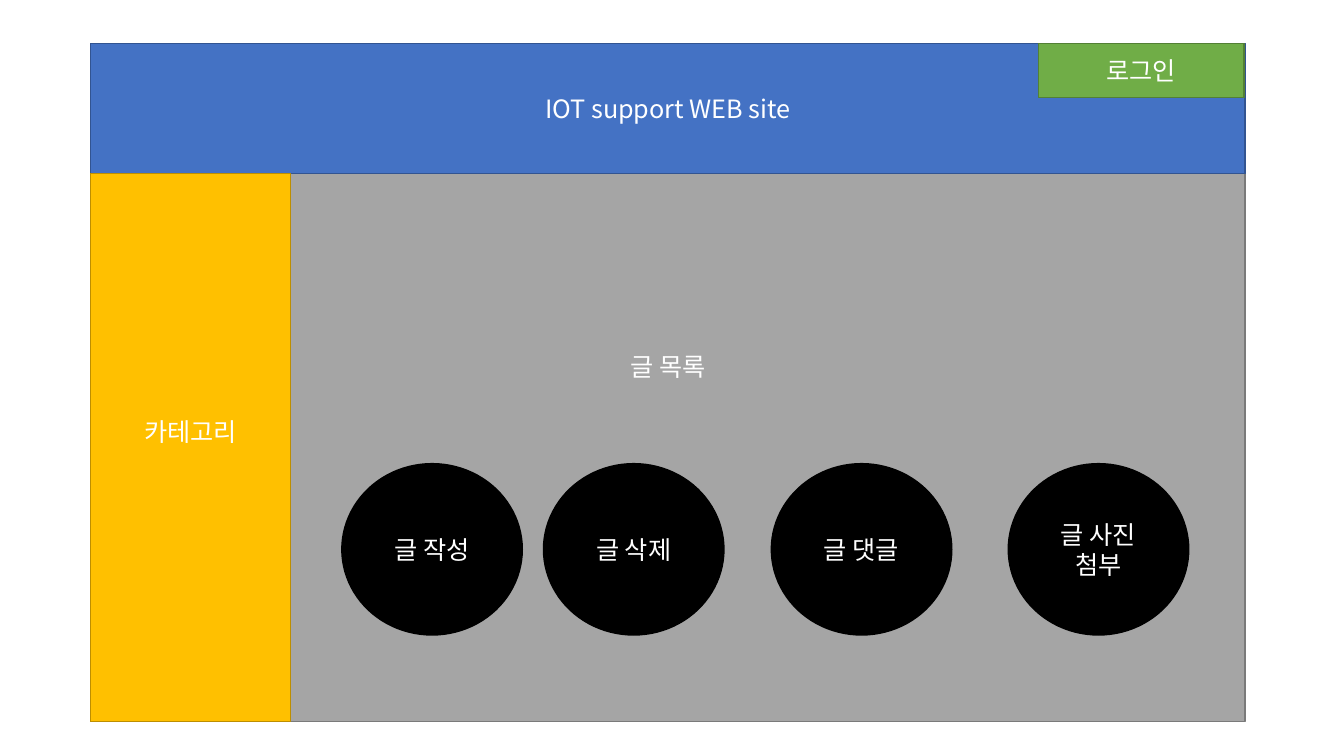
from dataclasses import dataclass

from lxml.etree import SubElement
from pptx import Presentation
from pptx.dml.color import RGBColor
from pptx.enum.shapes import MSO_SHAPE
from pptx.enum.text import MSO_ANCHOR, PP_ALIGN
from pptx.oxml.ns import qn
from pptx.util import Inches, Pt


@dataclass(frozen=True)
class Theme:
    font: str = "Noto Sans CJK KR"
    text_size: int = 18
    line_width: int = 1
    text: str = "FFFFFF"
    # Fill and outline pairs
    header: tuple = ("4472C4", "325491")
    content: tuple = ("A5A5A5", "7A7A7A")
    sidebar: tuple = ("FFC000", "BD8E00")
    login: tuple = ("70AD47", "538035")
    action: tuple = ("000000", "000000")


THEME = Theme()

# Page frame, in inches
LEFT, TOP, WIDTH, HEIGHT = 0.9, 0.43, 11.45, 6.73
HEADER_HEIGHT = 1.29
RAISED_INSET = 0.36  # bottom inset that lifts a label above the middle

ACTION_TOP, ACTION_WIDTH, ACTION_HEIGHT = 4.6, 1.79, 1.7
ACTIONS = [("글 작성", 3.39), ("글 삭제", 5.39), ("글 댓글", 7.65), ("글 사진 첨부", 10)]


def write_text(shape, text, *, size=THEME.text_size, color=THEME.text,
               font=THEME.font, align=PP_ALIGN.CENTER, bottom_inset=0.05):
    frame = shape.text_frame
    frame.word_wrap = True
    frame.vertical_anchor = MSO_ANCHOR.MIDDLE
    frame.margin_bottom = Inches(bottom_inset)
    paragraph = frame.paragraphs[0]
    paragraph.alignment = align
    run = paragraph.add_run()
    run.text = text
    run.font.size = Pt(size)
    run.font.name = font
    run.font.color.rgb = RGBColor.from_string(color)
    # Korean glyphs use the East Asian typeface
    SubElement(run.font._element, qn("a:ea"), typeface=font)


def add_block(slide, kind, box, colors, text, **text_format):
    shape = slide.shapes.add_shape(kind, *map(Inches, box))
    fill, line = map(RGBColor.from_string, colors)
    shape.shadow.inherit = False
    shape.fill.solid()
    shape.fill.fore_color.rgb = fill
    shape.line.color.rgb = line
    shape.line.width = Pt(THEME.line_width)
    write_text(shape, text, **text_format)


def add_panel(slide, box, colors, text, **text_format):
    add_block(slide, MSO_SHAPE.RECTANGLE, box, colors, text, **text_format)


def add_action(slide, text, left):
    box = (left, ACTION_TOP, ACTION_WIDTH, ACTION_HEIGHT)
    add_block(slide, MSO_SHAPE.FLOWCHART_CONNECTOR, box, THEME.action, text)


def main():
    presentation = Presentation()
    presentation.slide_width = Inches(13.33)
    presentation.slide_height = Inches(7.5)
    slide = presentation.slides.add_slide(presentation.slide_layouts[6])

    # Site layout: post list, header, category sidebar, login button
    add_panel(slide, (LEFT, TOP, WIDTH, HEIGHT), THEME.content, "글 목록",
              bottom_inset=RAISED_INSET)
    add_panel(slide, (LEFT, TOP, WIDTH, HEADER_HEIGHT), THEME.header,
              "IOT support WEB site")
    add_panel(slide, (LEFT, TOP + HEADER_HEIGHT, 1.98, HEIGHT - HEADER_HEIGHT),
              THEME.sidebar, "카테고리", bottom_inset=RAISED_INSET)
    add_panel(slide, (10.3, TOP, 2.04, 0.54), THEME.login, "로그인")

    # Post actions
    for text, left in ACTIONS:
        add_action(slide, text, left)

    presentation.save("out.pptx")


main()
